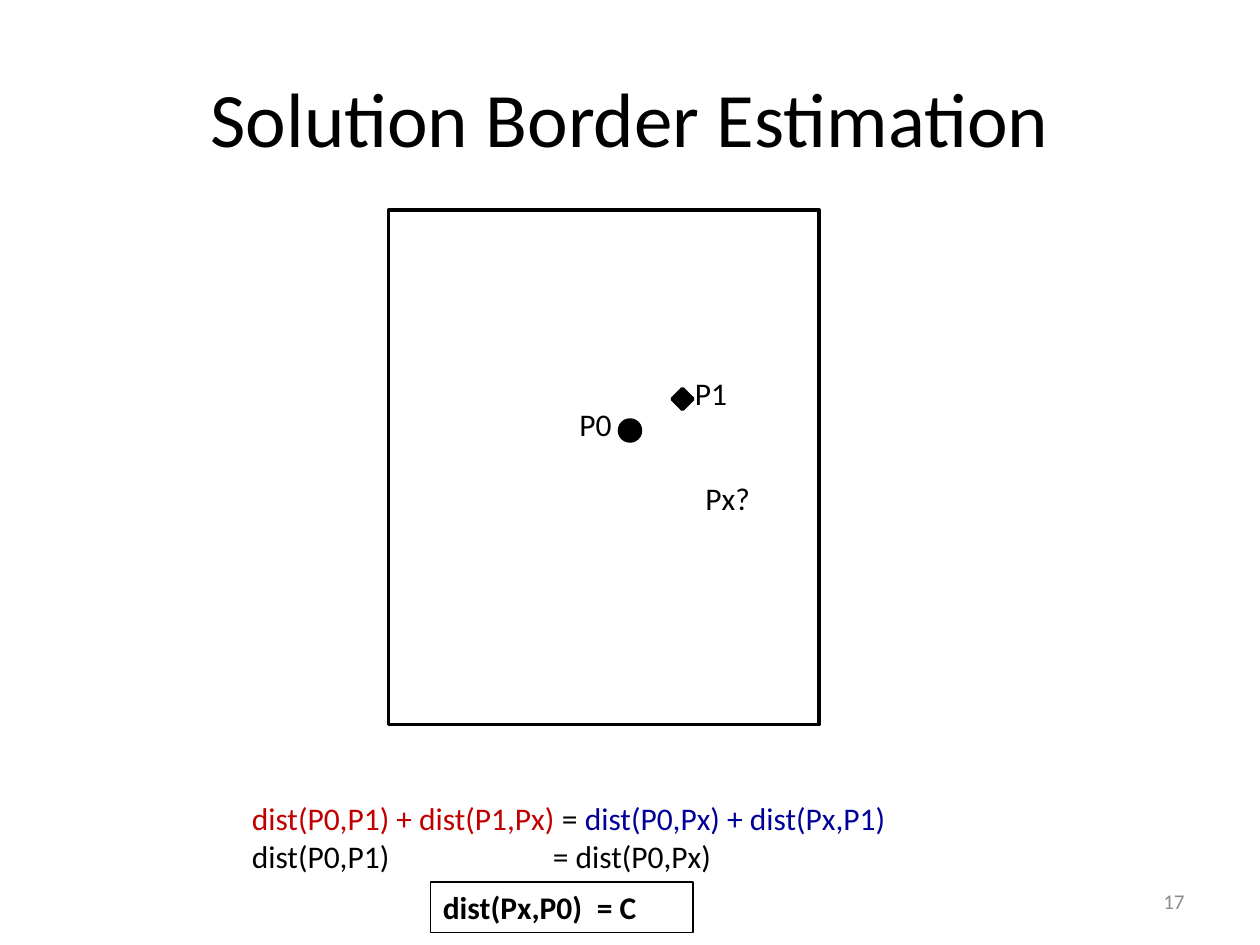
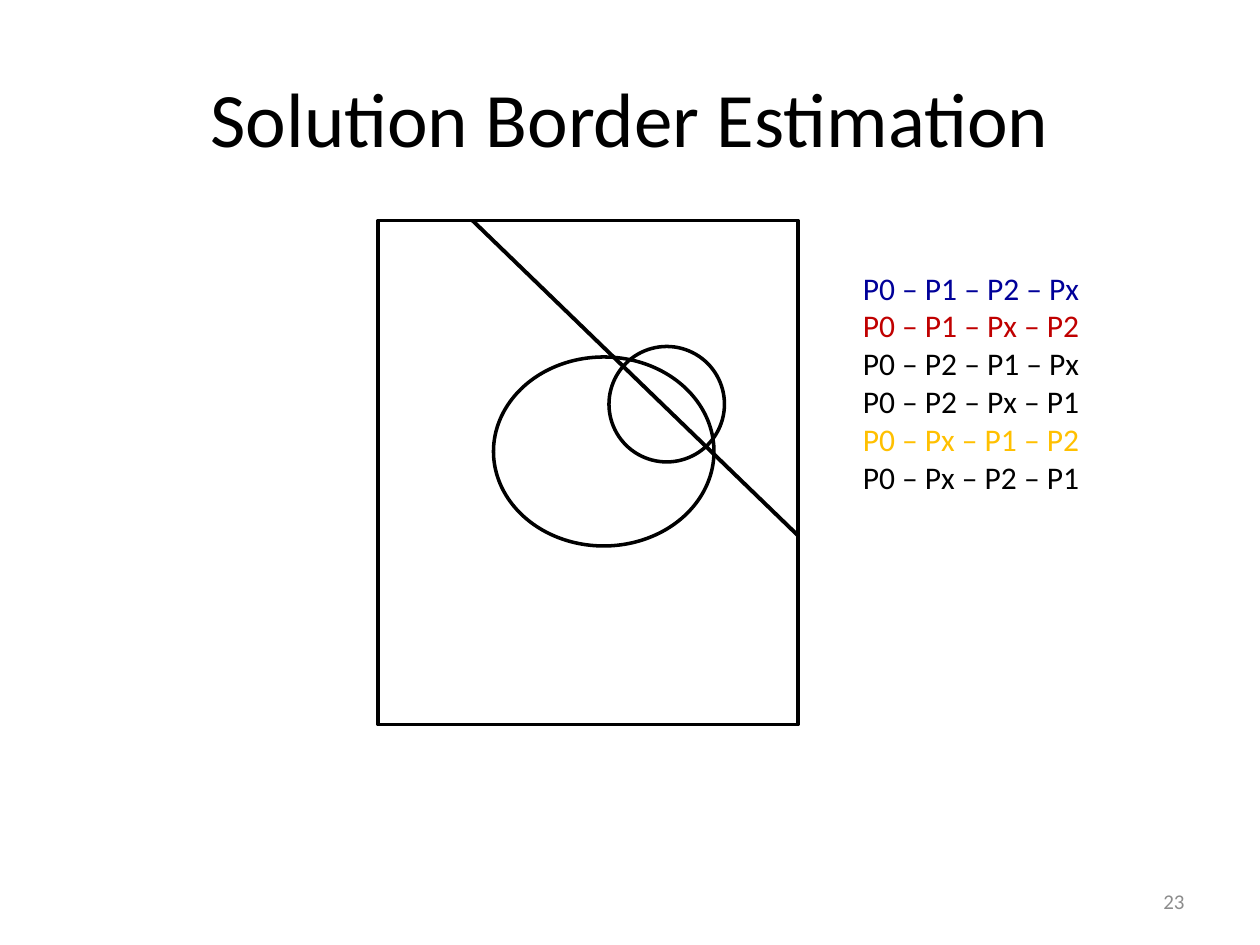
"""Two slides on estimating the solution border around known points."""
from dataclasses import dataclass

import pptx
import pptx.dml.color
import pptx.enum.shapes
import pptx.enum.text
import pptx.oxml.ns
import pptx.util
from lxml import etree

Pt = pptx.util.Pt
Align = pptx.enum.text.PP_ALIGN
Anchor = pptx.enum.text.MSO_ANCHOR
Preset = pptx.enum.shapes.MSO_SHAPE

FONT = "Calibri"
COLOURS = {
    "ink": "000000",
    "red": "C00000",
    "blue": "000099",
    "gold": "FFC000",
    "grey": "8C8C8C",
}
OUTLINE = 2


@dataclass(frozen=True)
class Box:
    """A rectangle in points."""
    left: float
    top: float
    width: float
    height: float

    def lengths(self) -> tuple:
        """Return left, top, width and height as lengths."""
        return Pt(self.left), Pt(self.top), Pt(self.width), Pt(self.height)


@dataclass(frozen=True)
class Run:
    """A piece of text in one colour."""
    text: str
    colour: str = "ink"


@dataclass(frozen=True)
class Style:
    """How the text in a box is set; tab is a stop in points."""
    size: float = 18
    bold: bool = False
    align: Align = Align.LEFT
    anchor: Anchor = Anchor.TOP
    wrap: bool = True
    tab: float = 0


TITLE_BOX = Box(36, 21.6, 648, 90)
NUMBER_BOX = Box(516, 500.4, 168, 28.8)
TITLE_STYLE = Style(size=44, align=Align.CENTER, anchor=Anchor.MIDDLE)
NUMBER_STYLE = Style(size=12, align=Align.RIGHT, anchor=Anchor.MIDDLE)
LABEL_STYLE = Style(wrap=False)


def rgb(colour: str) -> pptx.dml.color.RGBColor:
    """Look up a named colour."""
    return pptx.dml.color.RGBColor.from_string(COLOURS[colour])


def add_tab_stop(paragraph, position: float) -> None:
    """Give a paragraph one left tab stop."""
    qn = pptx.oxml.ns.qn
    stops = etree.SubElement(paragraph._p.get_or_add_pPr(), qn("a:tabLst"))
    etree.SubElement(stops, qn("a:tab"), pos=str(Pt(position)), algn="l")


def add_text(slide, box: Box, lines: list[list[Run]], style: Style = Style()):
    """Add a text box with one paragraph for each line."""
    text_box = slide.shapes.add_textbox(*box.lengths())
    frame = text_box.text_frame
    frame.word_wrap = style.wrap
    frame.vertical_anchor = style.anchor
    for index, line in enumerate(lines):
        paragraph = frame.add_paragraph() if index else frame.paragraphs[0]
        paragraph.alignment = style.align
        if style.tab:
            add_tab_stop(paragraph, style.tab)
        for piece in line:
            run = paragraph.add_run()
            run.text = piece.text
            run.font.name = FONT
            run.font.size = Pt(style.size)
            run.font.bold = style.bold
            run.font.color.rgb = rgb(piece.colour)
    return text_box


def add_figure(shapes, preset: Preset, box: Box, filled: bool = False) -> None:
    """Add a black outlined shape, solid if filled."""
    figure = shapes.add_shape(preset, *box.lengths())
    figure.shadow.inherit = False
    if filled:
        figure.fill.solid()
        figure.fill.fore_color.rgb = rgb("ink")
    else:
        figure.fill.background()
    figure.line.color.rgb = rgb("ink")
    figure.line.width = Pt(OUTLINE)


def add_border_line(shapes, start: tuple, end: tuple) -> None:
    """Add a straight black line between two points."""
    line = shapes.add_connector(
        pptx.enum.shapes.MSO_CONNECTOR.STRAIGHT, *map(Pt, start + end))
    line.line.color.rgb = rgb("ink")
    line.line.width = Pt(2.25)
    etree.SubElement(line._element.spPr, pptx.oxml.ns.qn("a:effectLst"))


def add_base_slide(deck, number: int):
    """Add a blank slide with the shared title and its number."""
    slide = deck.slides.add_slide(deck.slide_layouts[6])
    add_text(slide, TITLE_BOX, [[Run("Solution Border Estimation")]], TITLE_STYLE)
    add_text(slide, NUMBER_BOX, [[Run(str(number), "grey")]], NUMBER_STYLE)
    return slide


def build_equation_slide(deck) -> None:
    """Two known points, one sought point and the distance equations."""
    slide = add_base_slide(deck, 17)
    add_text(slide, Box(136.8, 452.9, 433.4, 51), [
        [Run("dist(P0,P1) + dist(P1,Px) ", "red"), Run("= "),
         Run("dist(P0,Px) + dist(Px,P1)", "blue")],
        [Run("dist(P0,P1)\t= dist(P0,Px)")],
    ], Style(tab=172))
    result = add_text(slide, Box(246, 504, 150, 29),
                      [[Run("dist(Px,P0)\t= C")]], Style(bold=True, tab=88))
    result.line.color.rgb = rgb("ink")
    result.line.width = Pt(0.75)

    add_figure(slide.shapes, Preset.RECTANGLE, Box(222, 120, 246, 294))
    add_figure(slide.shapes, Preset.OVAL, Box(354, 240, 12, 12), filled=True)
    add_figure(slide.shapes, Preset.DIAMOND, Box(384, 222, 12, 12), filled=True)
    for name, left, top, width in (("P0", 324, 228, 33), ("P1", 390, 210, 33),
                                   ("Px?", 396, 270, 40)):
        add_text(slide, Box(left, top, width, 29), [[Run(name)]], LABEL_STYLE)


def build_order_slide(deck) -> None:
    """Borders for the possible orders of the points."""
    slide = add_base_slide(deck, 23)
    orders = (
        ("P0 – P1 – P2 – Px", "blue"),
        ("P0 – P1 – Px – P2", "red"),
        ("P0 – P2 – P1 – Px", "ink"),
        ("P0 – P2 – Px – P1", "ink"),
        ("P0 – Px – P1 – P2", "gold"),
        ("P0 – Px – P2 – P1", "ink"),
    )
    add_text(slide, Box(486, 150, 164, 138),
             [[Run(*order)] for order in orders], LABEL_STYLE)

    borders = slide.shapes.add_group_shape().shapes
    add_figure(borders, Preset.RECTANGLE, Box(216, 126, 240, 288))
    add_border_line(borders, (456, 306), (270, 126))
    add_figure(borders, Preset.OVAL, Box(348, 198, 66, 66))
    add_figure(borders, Preset.OVAL, Box(282, 204, 126, 108))


def main() -> None:
    """Build and save the deck."""
    deck = pptx.Presentation()
    deck.slide_width, deck.slide_height = Pt(720), Pt(540)
    build_equation_slide(deck)
    build_order_slide(deck)
    deck.save("out.pptx")


main()
